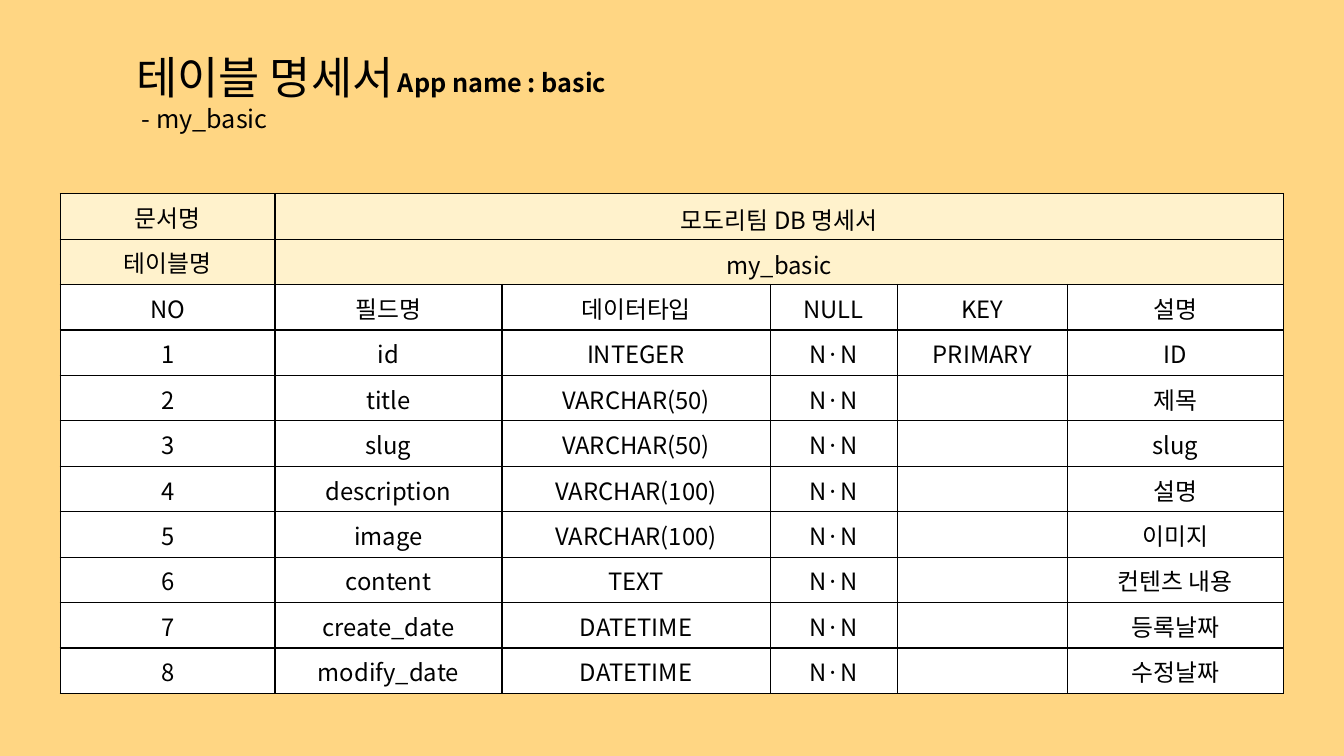
from lxml.etree import SubElement
from pptx import Presentation
from pptx.dml.color import RGBColor
from pptx.enum.text import MSO_ANCHOR, MSO_AUTO_SIZE, PP_ALIGN
from pptx.oxml.ns import qn
from pptx.util import Cm, Pt

COLORS = {"background": "FFD683", "text": "000000", "border": "000000",
          "header": "FFF2CC", "body": "FFFFFF"}
FONT = "Noto Sans CJK KR"


def add_run(paragraph, text, size, bold=False):
    run = paragraph.add_run()
    run.text = text
    run.font.size = Pt(size)
    run.font.bold = bold
    run.font.name = FONT
    run.font.color.rgb = RGBColor.from_string(COLORS["text"])
    SubElement(run.font._element, qn("a:ea"), typeface=FONT)


def add_borders(cell):
    properties = cell._tc.get_or_add_tcPr()
    for side in ("a:lnL", "a:lnR", "a:lnT", "a:lnB"):
        line = SubElement(properties, qn(side), w=str(Pt(1)))
        fill = SubElement(line, qn("a:solidFill"))
        SubElement(fill, qn("a:srgbClr"), val=COLORS["border"])


prs = Presentation()
prs.slide_width, prs.slide_height = Cm(33.87), Cm(19.05)
slide = prs.slides.add_slide(prs.slide_layouts[5])
background = slide.background.fill
background.solid()
background.fore_color.rgb = RGBColor.from_string(COLORS["background"])

heading = slide.shapes.title
heading.left, heading.top, heading.width, heading.height = Cm(3.18), Cm(1.12), Cm(8.84), Cm(2.39)
heading_frame = heading.text_frame
heading_frame.word_wrap = True
heading_frame.auto_size = MSO_AUTO_SIZE.SHAPE_TO_FIT_TEXT
heading_frame.vertical_anchor = MSO_ANCHOR.TOP
heading_lines = [heading_frame.paragraphs[0], heading_frame.add_paragraph()]
for line, text, size in zip(heading_lines, ("테이블 명세서", " - my_basic"), (32, 18)):
    line.alignment = PP_ALIGN.LEFT
    line.space_before = Pt(0)
    add_run(line, text, size)

fields = [
    ("id", "INTEGER", "PRIMARY", "ID"),
    ("title", "VARCHAR(50)", "", "제목"),
    ("slug", "VARCHAR(50)", "", "slug"),
    ("description", "VARCHAR(100)", "", "설명"),
    ("image", "VARCHAR(100)", "", "이미지"),
    ("content", "TEXT", "", "컨텐츠 내용"),
    ("create_date", "DATETIME", "", "등록날짜"),
    ("modify_date", "DATETIME", "", "수정날짜"),
]
rows = [
    ("문서명", "모도리팀 DB 명세서", "", "", "", ""),
    ("테이블명", "my_basic", "", "", "", ""),
    ("NO", "필드명", "데이터타입", "NULL", "KEY", "설명"),
]
for number, (field, data_type, key, description) in enumerate(fields, 1):
    rows.append((str(number), field, data_type, "N·N", key, description))

column_widths = [5.41, 5.72, 6.76, 3.2, 4.29, 5.44]
specification = slide.shapes.add_table(
    len(rows), len(column_widths), Cm(1.52), Cm(4.88), Cm(sum(column_widths)), Cm(12.6)).table
for column, width in zip(specification.columns, column_widths):
    column.width = Cm(width)

for r, row in enumerate(rows):
    specification.rows[r].height = Cm(1.145)
    is_header = r < 2
    for c, text in enumerate(row):
        cell = specification.cell(r, c)
        spans = is_header and c == 1
        cell.margin_left = cell.margin_right = Cm(0.38 if spans else 0.03)
        cell.margin_top = Cm(0.2 if spans else 0.03)
        cell.margin_bottom = Cm(0.2 if spans else 0)
        cell.vertical_anchor = MSO_ANCHOR.MIDDLE
        add_borders(cell)
        cell.fill.solid()
        cell.fill.fore_color.rgb = RGBColor.from_string(COLORS["header" if is_header else "body"])
        if text:
            paragraph = cell.text_frame.paragraphs[0]
            paragraph.alignment = PP_ALIGN.CENTER
            add_run(paragraph, text, 17)
    if is_header:
        specification.cell(r, 1).merge(specification.cell(r, 5))

app_name = slide.shapes.add_textbox(Cm(9.78), Cm(1.57), Cm(5.82), Cm(1.02)).text_frame
app_name.word_wrap = False
app_name.auto_size = MSO_AUTO_SIZE.SHAPE_TO_FIT_TEXT
add_run(app_name.paragraphs[0], "App name : basic", 18, bold=True)

prs.save("out.pptx")
